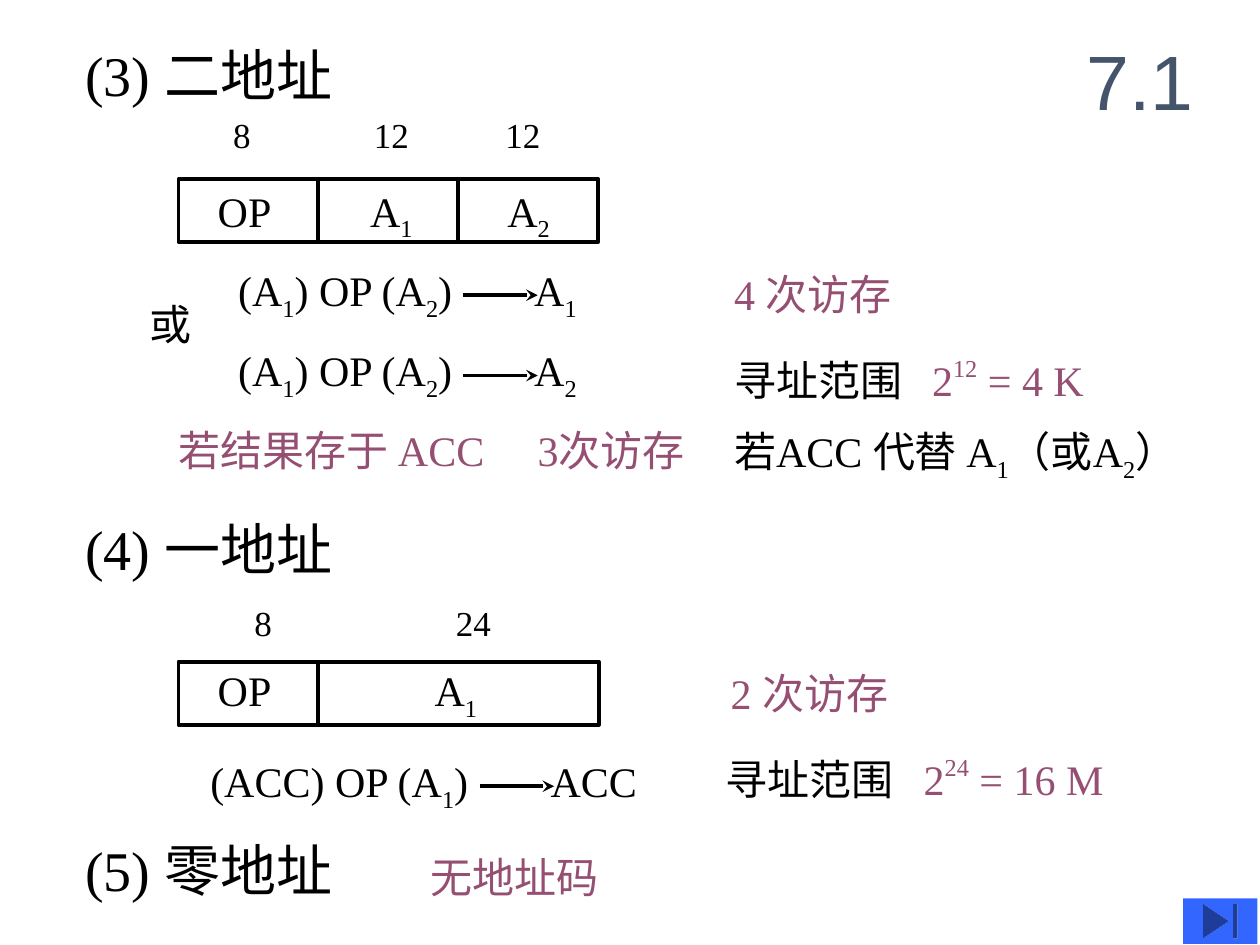
from lxml import etree
from pptx import Presentation
from pptx.dml.color import RGBColor
from pptx.enum import shapes, text
from pptx.oxml.ns import qn
from pptx.util import Cm, Pt

THEME = dict(
    ink=RGBColor(0, 0, 0), accent=RGBColor(0x95, 0x4F, 0x72),
    title=RGBColor(0x44, 0x54, 0x6A), button=RGBColor(0x33, 0x66, 0xFF),
    serif="Times New Roman", sans="Arial",
    title_size=44, heading=32, body=24, small=20, line=2.25)

# Content: a text is a list of runs, each a string or (string, format)
ONE, TWO = (("1", dict(base=-25)), ("2", dict(base=-25)))
ACCENT = dict(color="accent")


def power(exponent, result):
    return ["寻址范围\t", ("2", ACCENT),
            (exponent, dict(base=45, color="accent")), (f" = {result}", ACCENT)]


HEADINGS = [("(3) 二地址", 0.69), ("(4) 一地址", 10.24), ("(5) 零地址", 16.71)]

# Instruction formats: top, cell widths, labels (left, top, runs)
FORMATS = [
    (3.61, [2.82] * 3, [(4.14, 3.61, ["OP"]), (7.21, 3.61, ["A", ONE]),
                        (9.98, 3.61, ["A", TWO])]),
    (13.34, [2.82, 5.65], [(4.14, 13.28, ["OP"]), (8.51, 13.28, ["A", ONE])]),
]
FORMAT_LEFT, CELL_HEIGHT = 3.6, 1.27

# Bit widths above the formats: left, top, text, tab stops
BIT_WIDTHS = [(4.45, 2.16, "8\t12\t12", [2.84, 5.49]),
              (4.88, 12.01, "8\t24", [4.06])]

# Formulas: left, top, runs, tab stop after the arrow
PAIR = ["(A", ONE, ") OP (A", TWO, ")\tA"]
FORMULAS = [(4.55, 5.21, PAIR + [ONE], 5.97),
            (4.55, 6.83, PAIR + [TWO], 5.97),
            (3.99, 15.11, ["(ACC) OP (A", ONE, ")\tACC"], 6.86)]
ARROW_BACK, ARROW_LENGTH, ARROW_DROP = 1.18, 1.5, 0.74

# Remarks: left, top, width, height, runs, format
REMARKS = [
    (2.77, 5.89, 1.5, 1.27, ["或"], {}),
    (14.55, 5.28, 7.67, 1.27, ["4 次访存"], ACCENT),
    (14.55, 6.99, 8.71, 1.3, power("12", "4 K"), dict(tabs=[3.99])),
    (14.55, 8.46, 9.98, 2.57, ["若ACC 代替 A", ONE, "（或A", TWO, "）"], {}),
    (3.35, 8.43, 7.72, 1.27, ["若结果存于 ACC"], ACCENT),
    (10.59, 8.43, 5.08, 1.27, ["3次访存"], ACCENT),
    (8.43, 17.04, 4.5, 1.27, ["无地址码"], ACCENT),
    (14.48, 13.34, 4.5, 1.27, ["2 次访存"], ACCENT),
    (14.38, 15.04, 8.31, 1.3, power("24", "16 M"), dict(tabs=[3.99])),
]


def write(tf, runs, size="body", color="ink", font="serif", tabs=(), align=None):
    tf.word_wrap = True
    p = tf.paragraphs[0]
    if align is not None:
        p.alignment = align
    if tabs:
        tab_list = etree.SubElement(p._p.get_or_add_pPr(), qn("a:tabLst"))
        for stop in tabs:
            etree.SubElement(tab_list, qn("a:tab"), pos=str(Cm(stop)), algn="l")
    for run in runs:
        content, fmt = (run, {}) if isinstance(run, str) else run
        r = p.add_run()
        r.text = content
        r.font.size = Pt(THEME[size])
        r.font.name = THEME[font]
        r.font.color.rgb = THEME[fmt.get("color", color)]
        if "base" in fmt:
            r.font._element.set("baseline", str(fmt["base"] * 1000))


def add_text(s, left, top, width, height, runs, **fmt):
    box = s.shapes.add_textbox(Cm(left), Cm(top), Cm(width), Cm(height))
    write(box.text_frame, runs, **fmt)


def add_cell(s, left, top, width):
    sp = s.shapes.add_shape(shapes.MSO_SHAPE.RECTANGLE, Cm(left), Cm(top),
                            Cm(width), Cm(CELL_HEIGHT))
    sp.shadow.inherit = False
    sp.fill.background()
    sp.line.color.rgb = THEME["ink"]
    sp.line.width = Pt(THEME["line"])


def add_arrow(s, left, y):
    arrow = s.shapes.add_connector(shapes.MSO_CONNECTOR.STRAIGHT, Cm(left), Cm(y),
                                   Cm(left + ARROW_LENGTH), Cm(y))
    arrow.line.color.rgb = THEME["ink"]
    arrow.line.width = Pt(THEME["line"])
    etree.SubElement(arrow.line._get_or_add_ln(), qn("a:tailEnd"), type="stealth")
    etree.SubElement(arrow._element.spPr, qn("a:effectLst"))


def main():
    prs = Presentation()
    prs.slide_width, prs.slide_height = Cm(25.4), Cm(19.05)
    s = prs.slides.add_slide(prs.slide_layouts[5])

    # Title
    title = s.shapes.title
    title.left, title.top, title.width, title.height = (
        Cm(21.39), Cm(0.43), Cm(3.18), Cm(2.34))
    title.text_frame.vertical_anchor = text.MSO_ANCHOR.MIDDLE
    write(title.text_frame, ["7.1"], size="title_size", color="title",
          font="sans", align=text.PP_ALIGN.CENTER)

    # Section headings
    for heading, top in HEADINGS:
        add_text(s, 1.47, top, 7.5, 1.63, [heading], size="heading")

    # Instruction formats
    for top, widths, labels in FORMATS:
        for i, width in enumerate(widths):
            add_cell(s, FORMAT_LEFT + sum(widths[:i]), top, width)
        for left, label_top, runs in labels:
            add_text(s, left, label_top, 1.8, 1.42, runs)
    for left, top, bits, tabs in BIT_WIDTHS:
        add_text(s, left, top, 7, 1.12, [bits], size="small", tabs=tabs)

    # Formulas with their arrows
    for left, top, runs, tab in FORMULAS:
        add_text(s, left, top, tab + 2.6, 1.42, runs, tabs=[tab])
        add_arrow(s, left + tab - ARROW_BACK, top + ARROW_DROP)

    # Remarks
    for left, top, width, height, runs, fmt in REMARKS:
        add_text(s, left, top, width, height, runs, **fmt)

    # Button in the corner
    button = s.shapes.add_shape(shapes.MSO_SHAPE.ACTION_BUTTON_END,
                                Cm(23.85), Cm(18.11), Cm(1.5), Cm(0.92))
    button.shadow.inherit = False
    button.fill.solid()
    button.fill.fore_color.rgb = THEME["button"]
    button.line.fill.background()

    prs.save("out.pptx")


if __name__ == "__main__":
    main()
